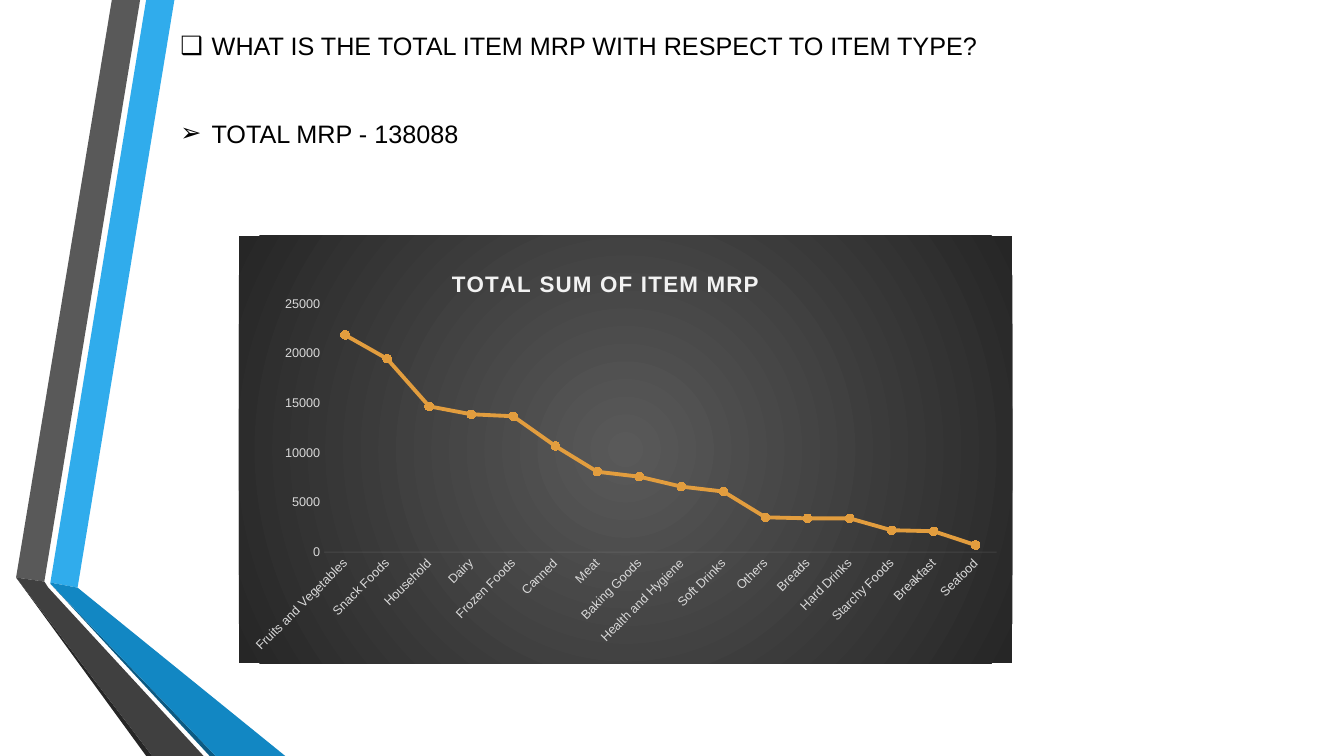
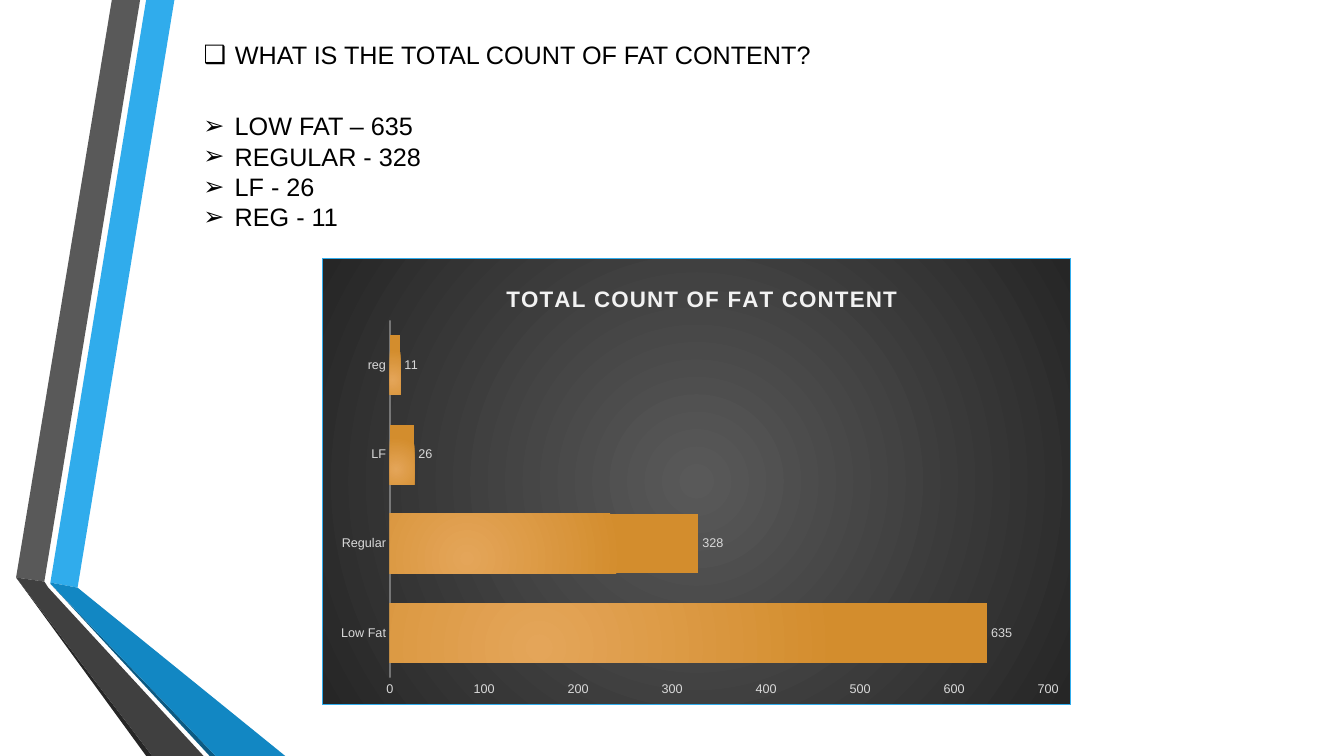
from pptx import Presentation, dml, oxml, util as u
from pptx.chart import data as cd
from pptx.dml import color
from pptx.enum import chart as ch, text
from pptx.oxml import ns

FONT = "Arial"
INK, PALE, SOFT, BLUE = "000000", "D9D9D9", "F2F2F2", "30ACEC"
BODY = {"name": FONT, "size": u.Pt(18)}
TICK = {"name": FONT, "size": u.Pt(9)}
HEAD = {"name": FONT, "size": u.Pt(16), "bold": True}
DARK = ("595959", "262626", (50, 50, 50, 50))
GOLD = ("E4A559", "D38D2D", (50, 100, 100, 50))
BANDS = [
    (BLUE, [(0.5, 5.78), (0.77, 5.83), (1.73, 0), (1.45, 0)]),
    ("595959", [(1.39, 0), (1.11, 0), (0.16, 5.73), (0.44, 5.77)]),
    ("262626", [(0.16, 5.73), (1.45, 7.5), (1.51, 7.5)]),
    ("0C5A82", [(0.5, 5.79), (2.08, 7.5), (2.14, 7.5)]),
    ("1287C3", [(0.5, 5.79), (2.14, 7.5), (2.83, 7.5), (0.77, 5.83), (0.5, 5.78)]),
    ("404040", [(2.02, 7.5), (0.48, 5.83), (0.44, 5.77), (0.16, 5.73), (1.51, 7.5)]),
]
PAGES = [
    {
        "ask": "WHAT IS THE TOTAL ITEM MRP WITH RESPECT TO ITEM TYPE?",
        "ask_at": (1.69, 0.25, 9.2, 0.71),
        "facts": ["TOTAL MRP - 138088"],
        "facts_at": (1.69, 1.12, 4.17, 0.4),
        "kind": ch.XL_CHART_TYPE.LINE_MARKERS,
        "at": (2.37, 2.34, 7.67, 4.24),
        "head": "TOTAL SUM OF ITEM MRP",
        "head_at": (0.27, 0.07),
        "plot_at": (0.11, 0.16, 0.87, 0.58),
        "top": 25000, "step": 5000, "axis": (0.75, 10), "edge": None,
        "rows": {
            "Fruits and Vegetables": 21900, "Snack Foods": 19500,
            "Household": 14700, "Dairy": 13900, "Frozen Foods": 13700,
            "Canned": 10700, "Meat": 8100, "Baking Goods": 7600,
            "Health and Hygiene": 6600, "Soft Drinks": 6100, "Others": 3500,
            "Breads": 3400, "Hard Drinks": 3400, "Starchy Foods": 2200,
            "Breakfast": 2100, "Seafood": 700,
        },
    },
    {
        "ask": "WHAT IS THE TOTAL COUNT OF FAT CONTENT?",
        "ask_at": (1.92, 0.34, 8.7, 0.71),
        "facts": ["LOW FAT – 635", "REGULAR - 328", "LF - 26", "REG - 11"],
        "facts_at": (1.92, 1.05, 6.77, 1.4),
        "kind": ch.XL_CHART_TYPE.BAR_CLUSTERED,
        "at": (3.2, 2.56, 7.42, 4.43),
        "head": "TOTAL COUNT OF FAT CONTENT",
        "head_at": (0.24, 0.05),
        "plot_at": (0.09, 0.14, 0.88, 0.8),
        "top": 700, "step": 100, "axis": (1, 54), "edge": BLUE,
        "rows": {"Low Fat": 635, "Regular": 328, "LF": 26, "reg": 11},
    },
]


def tint(code):
    return color.RGBColor.from_string(code)


def node(tag, body="", attrs=""):
    return oxml.parse_xml(f'<{tag} {ns.nsdecls("a", "c")} {attrs}>{body}</{tag}>')


deck = Presentation()
deck.slide_width, deck.slide_height = u.Inches(13.33), u.Inches(7.5)
base = deck.slide_layouts[5]

for page in PAGES:
    slide = deck.slides.add_slide(base)

    if page is PAGES[0]:
        for fill, dots in BANDS:
            pts = [(u.Inches(x), u.Inches(y)) for x, y in dots]
            pen = slide.shapes.build_freeform(*pts[0])
            pen.add_line_segments(pts[1:], close=True)
            band = pen.convert_to_shape()
            band.shadow.inherit = False
            band.fill.solid()
            band.fill.fore_color.rgb = tint(fill)
            band.line.fill.background()
            base.shapes.element.append(band.element)

    ask = slide.shapes.title
    ask.left, ask.top, ask.width, ask.height = map(u.Inches, page["ask_at"])
    facts = slide.shapes.add_textbox(*map(u.Inches, page["facts_at"]))
    for box, lines, mark in [(ask, [page["ask"]], "❑"), (facts, page["facts"], "➢")]:
        frame = box.text_frame
        frame.text = "\n".join(lines)
        frame.word_wrap = True
        frame.auto_size = text.MSO_AUTO_SIZE.NONE
        frame.vertical_anchor = text.MSO_ANCHOR.TOP
        for para in frame.paragraphs:
            para.alignment = text.PP_ALIGN.LEFT
            run = para.runs[0]
            for key, val in BODY.items():
                setattr(run.font, key, val)
            run.font.color.rgb = tint(INK)
            props = para._p.get_or_add_pPr()
            props.set("marL", str(u.Inches(0.31)))
            props.set("indent", str(u.Inches(-0.31)))
            props.append(node("a:buFont", attrs=f'typeface="{FONT}"'))
            props.append(node("a:buChar", attrs=f'char="{mark}"'))

    data = cd.CategoryChartData()
    data.categories = list(page["rows"])
    data.add_series("Series 1", list(page["rows"].values()))
    spot = map(u.Inches, page["at"])
    chart = slide.shapes.add_chart(page["kind"], *spot, data).chart
    root = chart.element
    chart.has_legend = False
    chart.font.name, chart.font.size = FONT, u.Pt(10)

    chart.has_title = True
    head = chart.chart_title.text_frame
    head.text = page["head"]
    run = head.paragraphs[0].runs[0]
    for key, val in HEAD.items():
        setattr(run.font, key, val)
    run.font.color.rgb = tint(SOFT)
    run._r.get_or_add_rPr().set("spc", "100")

    for tag, slot, spot in [("title", 1, page["head_at"]), ("plotArea", 0, page["plot_at"])]:
        area = root.xpath(f"c:chart/c:{tag}")[0]
        for old in area.findall(ns.qn("c:layout")):
            area.remove(old)
        rule = '<c:layoutTarget val="inner"/>' if tag == "plotArea" else ""
        rule += '<c:xMode val="edge"/><c:yMode val="edge"/>'
        rule += "".join(f'<c:{k} val="{v}"/>' for k, v in zip("xywh", spot))
        area.insert(slot, node("c:layout", f"<c:manualLayout>{rule}</c:manualLayout>"))

    cats, vals = chart.category_axis, chart.value_axis
    for axis in (cats, vals):
        axis.has_major_gridlines = False
        axis.major_tick_mark = axis.minor_tick_mark = ch.XL_TICK_MARK.NONE
        for key, val in TICK.items():
            setattr(axis.tick_labels.font, key, val)
        axis.tick_labels.font.color.rgb = tint(PALE)
    vals.format.line.fill.background()
    vals.minimum_scale, vals.maximum_scale, vals.major_unit = 0, page["top"], page["step"]
    wide, dim = page["axis"]
    cats.format.line.width = u.Pt(wide)
    cats.format.line.color.rgb = tint(SOFT)
    ink = root.xpath(".//c:catAx/c:spPr/a:ln/a:solidFill/a:srgbClr")[0]
    ink.append(node("a:alpha", attrs=f'val="{dim * 1000}"'))

    plot = chart.plots[0]
    plot.vary_by_categories = False
    row = plot.series[0]
    back = node("c:spPr")
    root.find(ns.qn("c:chart")).addnext(back)
    fades = [(back, DARK)]
    if page["kind"] == ch.XL_CHART_TYPE.LINE_MARKERS:
        row.smooth = False
        row.format.line.width = u.Pt(2.75)
        row.format.line.color.rgb = tint("E29D3E")
        row.marker.style, row.marker.size = ch.XL_MARKER_STYLE.CIRCLE, 6
        row.marker.format.fill.solid()
        row.marker.format.fill.fore_color.rgb = tint("E29D3E")
        row.marker.format.line.fill.background()
        root.xpath(".//c:catAx/c:txPr/a:bodyPr")[0].set("rot", "-2700000")
    else:
        plot.gap_width, plot.overlap = 50, -20
        row.invert_if_negative = False
        row.format.line.fill.background()
        fades.append((root.xpath(".//c:ser/c:spPr")[0], GOLD))
        tags = row.data_labels
        tags.show_value = True
        tags.position = ch.XL_LABEL_POSITION.OUTSIDE_END
        for key, val in TICK.items():
            setattr(tags.font, key, val)
        tags.font.color.rgb = tint(PALE)

    for area, (near, far, rect) in fades:
        stops = "".join(
            f'<a:gs pos="{pos}"><a:srgbClr val="{code}"/></a:gs>'
            for pos, code in [(0, near), (100000, far)]
        )
        sides = " ".join(f'{k}="{v * 1000}"' for k, v in zip("ltrb", rect))
        area.insert(0, node(
            "a:gradFill",
            f'<a:gsLst>{stops}</a:gsLst>'
            f'<a:path path="circle"><a:fillToRect {sides}/></a:path>',
        ))
    edge = page["edge"]
    paint = f'<a:solidFill><a:srgbClr val="{edge}"/></a:solidFill>' if edge else "<a:noFill/>"
    back.append(node("a:ln", paint, 'w="0"'))

deck.save("out.pptx")
